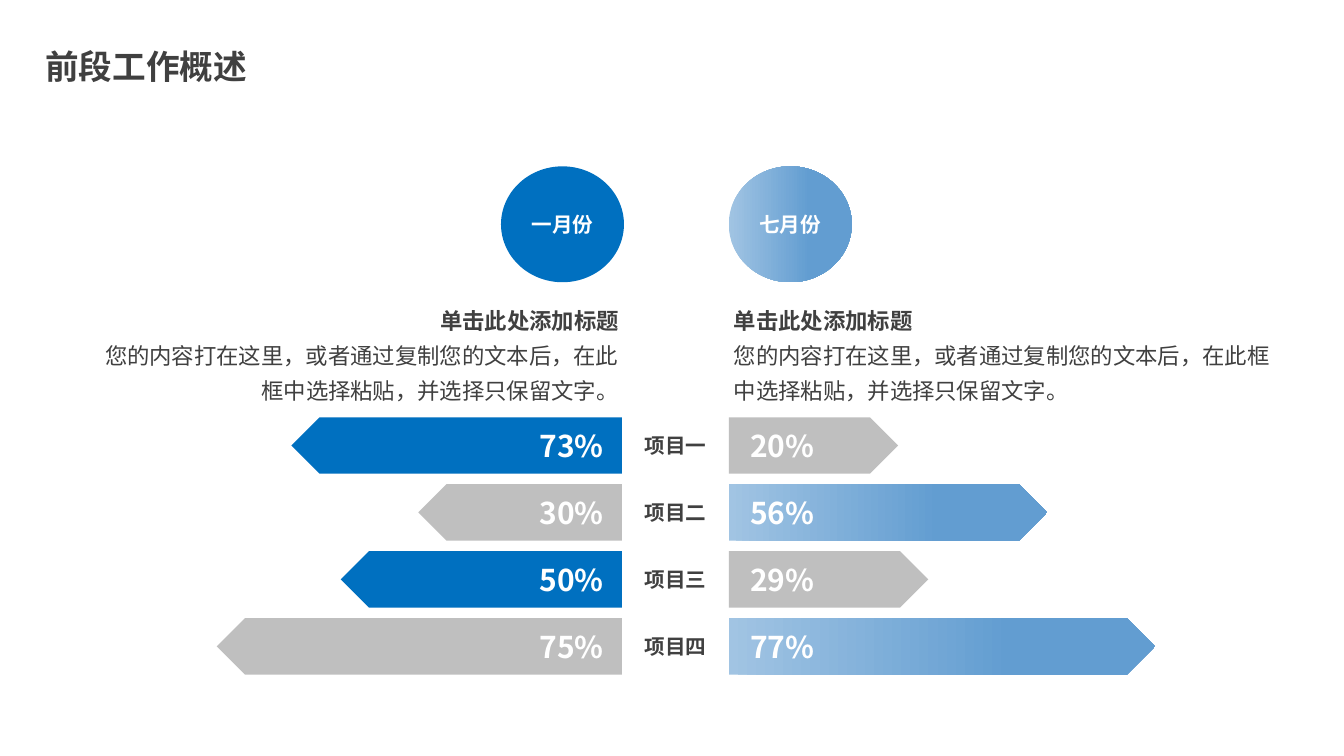
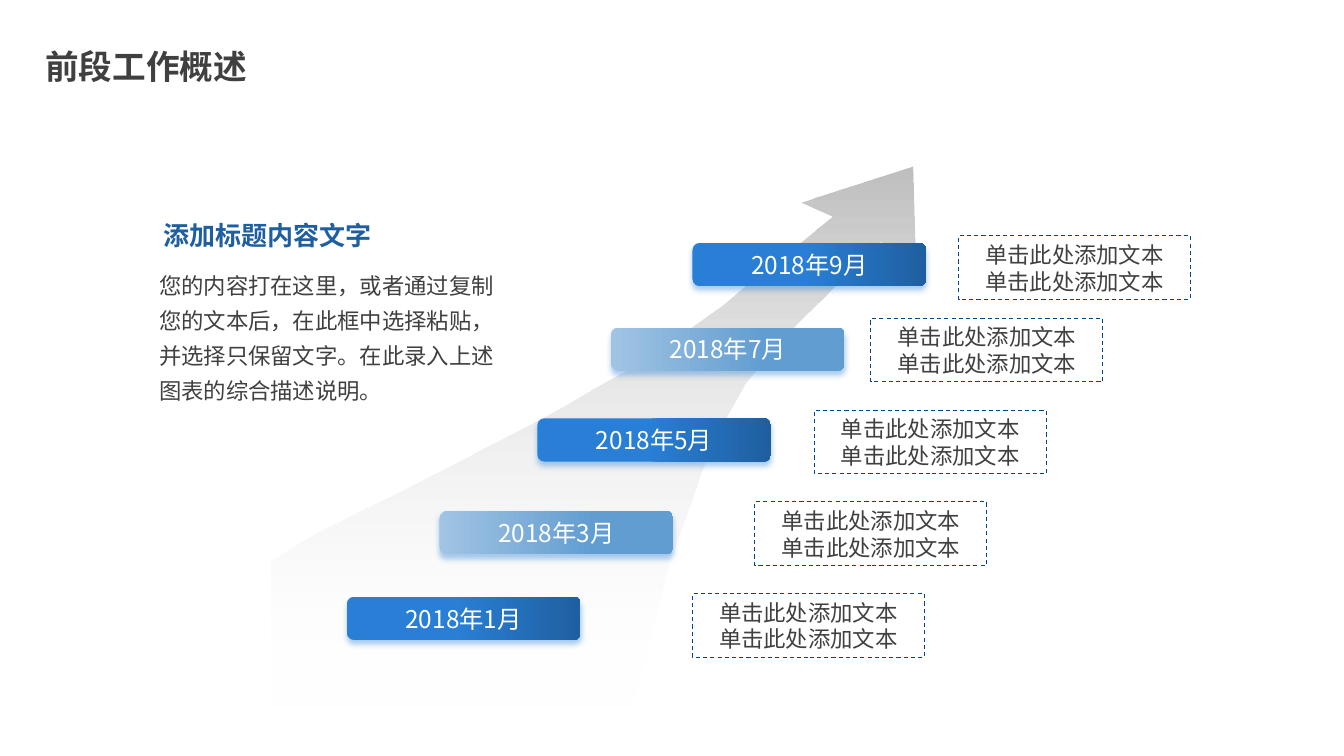
from dataclasses import dataclass

from lxml.etree import SubElement
from pptx import Presentation
from pptx.dml.color import RGBColor
from pptx.enum.dml import MSO_LINE
from pptx.enum.shapes import MSO_SHAPE
from pptx.enum.text import MSO_ANCHOR, MSO_AUTO_SIZE, PP_ALIGN
from pptx.oxml.ns import qn
from pptx.util import Pt


@dataclass(frozen=True)
class Theme:
    font: str = "Noto Sans CJK SC"
    ink: str = "404040"
    white: str = "FFFFFF"
    blue: str = "0070C0"
    grey: str = "BFBFBF"
    navy: str = "1F5FA0"
    dash: str = "01458E"
    glow: str = "297FD5"
    pale: tuple = ((0, "A1C4E3"), (0.66, "629DD1"))
    deep: tuple = ((0.47, "297FD5"), (1, "1F5FA0"))
    fade: tuple = ((0, "BFBFBF"), (1, "FFFFFF"))
    title: float = 24
    value: float = 21.4
    heading: float = 18.6
    tag: float = 17.4
    body: float = 16
    label: float = 14.7


T = Theme()
COLS, ROWS = 160, 90
UNIT = Pt(6)


def draw(s, outline, box, fill=None, angle=0):
    if isinstance(outline, list):
        pts = [(round(x * UNIT), round(y * UNIT)) for x, y in outline]
        builder = s.shapes.build_freeform(*pts[0])
        builder.add_line_segments(pts[1:], close=True)
        sp = builder.convert_to_shape()
    else:
        place = [round(v * UNIT) for v in box]
        if outline is None:
            return s.shapes.add_textbox(*place)
        sp = s.shapes.add_shape(outline, *place)
    sp.shadow.inherit = False
    sp.line.fill.background()
    if fill is None:
        sp.fill.background()
    elif isinstance(fill, str):
        sp.fill.solid()
        sp.fill.fore_color.rgb = RGBColor.from_string(fill)
    else:
        sp.fill.gradient()
        sp.fill.gradient_angle = angle
        for stop, (position, color) in zip(sp.fill.gradient_stops, fill):
            stop.position = position
            stop.color.rgb = RGBColor.from_string(color)
    return sp


def write(sp, texts, size, color, bold=False, align=PP_ALIGN.CENTER,
          spacing=None, wrap=False, anchor=MSO_ANCHOR.TOP):
    tf = sp.text_frame
    tf.word_wrap = wrap
    tf.vertical_anchor = anchor
    for i, text in enumerate(texts):
        p = tf.add_paragraph() if i else tf.paragraphs[0]
        p.alignment = align
        p.line_spacing = spacing
        r = p.add_run()
        r.text = text
        r.font.size = Pt(size)
        r.font.bold = bold and i == 0
        r.font.color.rgb = RGBColor.from_string(color)
        r.font.name = T.font
        SubElement(r.font._element, qn("a:ea"), typeface=T.font)
    return tf


prs = Presentation()
prs.slide_width = COLS * UNIT
prs.slide_height = ROWS * UNIT
layout = prs.slide_layouts[5]
title = layout.placeholders[0]
title.left, title.top, title.width, title.height = [
    round(v * UNIT) for v in (4.2, 4.92, 26.64, 6)]

compare, timeline = [prs.slides.add_slide(layout) for _ in range(2)]
for s in (compare, timeline):
    tf = write(s.shapes.title, ["前段工作概述"], T.title, T.ink, True, PP_ALIGN.LEFT)
    tf.auto_size = MSO_AUTO_SIZE.NONE

s = compare
BAR_TOP, BAR_STEP, BAR_H = 49.68, 7.97, 6.72
LEFT_EDGE, RIGHT_EDGE = 74.04, 86.76
intro = ["单击此处添加标题",
         "您的内容打在这里，或者通过复制您的文本后，在此框中选择粘贴，并选择只保留文字。"]
sides = [
    ("一月份", T.blue, 59.64, (10.68, 63.6), PP_ALIGN.RIGHT, 62.95,
     [("73%", 39.36), ("30%", 24.24), ("50%", 33.48), ("75%", 48.24)], 0),
    ("七月份", T.pale, RIGHT_EDGE, (RIGHT_EDGE, 65.04), PP_ALIGN.LEFT, 88,
     [("20%", 20.16), ("56%", 37.92), ("29%", 23.76), ("77%", 50.76)], 1),
]
for month, fill, circle_x, (text_x, text_w), align, value_x, bars, first in sides:
    sp = draw(s, MSO_SHAPE.OVAL, (circle_x, 19.8, 14.64, 13.8), fill)
    write(sp, [month], T.label, T.white, True, anchor=MSO_ANCHOR.MIDDLE)
    sp = draw(s, None, (text_x, 35.28, text_w, 12.84))
    tf = write(sp, intro, T.body, T.ink, True, align, 1.3, True)
    tf.margin_left = tf.margin_right = Pt(3.6)
    tf.margin_top = tf.margin_bottom = Pt(2)
    for i, (value, width) in enumerate(bars):
        y = BAR_TOP + i * BAR_STEP
        x = RIGHT_EDGE if first else LEFT_EDGE - width
        sp = draw(s, MSO_SHAPE.PENTAGON, (x, y, width, BAR_H),
                  fill if i % 2 == first else T.grey)
        if not first:
            sp._element.spPr.xfrm.set("flipH", "1")
        sp = draw(s, None, (value_x, y + 0.65, 10.2, 5.52))
        write(sp, [value], T.value, T.white, True)
for i, number in enumerate("一二三四"):
    sp = draw(s, None, (75.48, BAR_TOP + 1.3 + i * BAR_STEP, 9.84, 4.2))
    write(sp, ["项目" + number], T.label, T.ink, True)

s = timeline
arrow = [
    (32.28, 66.72), (37.56, 63.48), (43.08, 60.72), (48.96, 57.84), (56.4, 54),
    (65.4, 49.32), (71.4, 45.84), (75.36, 43.68), (80.88, 39.96), (85.68, 36.6),
    (90.12, 32.88), (93.72, 30.12), (99, 25.8), (95.28, 24.12), (108.6, 19.8),
    (108.96, 31.56), (104.76, 28.8), (99.48, 33.96), (93.12, 40.32),
    (88.68, 45.72), (86.52, 49.56), (84.48, 53.52), (83.16, 57.12),
    (81.96, 60.6), (79.56, 67.32), (77.88, 73.68), (76.68, 78.72),
    (75, 84.48), (32.28, 84.48),
]
sp = draw(s, arrow, None, T.fade, 270)
end = sp._element.spPr.findall(".//" + qn("a:srgbClr"))[-1]
SubElement(end, qn("a:alpha"), val="0")

steps = [
    ((41.28, 71.04), (82.44, 70.68)),
    ((52.32, 60.84), (89.88, 59.76)),
    ((63.96, 49.8), (96.96, 48.84)),
    ((72.72, 39), (103.68, 37.92)),
    ((82.44, 28.92), (114.12, 28.08)),
]
for i, (tag, note) in enumerate(steps):
    sp = draw(s, MSO_SHAPE.ROUNDED_RECTANGLE, (*tag, 27.84, 5.16),
              T.pale if i % 2 else T.deep)
    effects = sp._element.spPr.find(qn("a:effectLst"))
    shadow = SubElement(effects, qn("a:outerShdw"), blurRad=str(Pt(4)),
                        dist=str(Pt(3)), dir="5400000", algn="t", rotWithShape="0")
    color = SubElement(shadow, qn("a:srgbClr"), val=T.glow)
    SubElement(color, qn("a:alpha"), val="40000")
    write(sp, [f"2018年{2 * i + 1}月"], T.tag, T.white, wrap=True,
          anchor=MSO_ANCHOR.MIDDLE)

    sp = draw(s, MSO_SHAPE.RECTANGLE, (*note, 27.6, 7.56))
    sp.line.color.rgb = RGBColor.from_string(T.dash)
    sp.line.width = Pt(0.75)
    sp.line.dash_style = MSO_LINE.DASH
    write(sp, ["单击此处添加文本"] * 2, T.body, T.ink, wrap=True)

sp = draw(s, None, (17.76, 30.84, 44.52, 15.84))
write(sp, ["您的内容打在这里，或者通过复制您的文本后，在此框中选择粘贴，"
           "并选择只保留文字。在此录入上述图表的综合描述说明。"],
      T.body, T.ink, align=PP_ALIGN.LEFT, spacing=1.3, wrap=True)
sp = draw(s, None, (18.24, 24.12, 37.92, 7.68))
write(sp, ["添加标题内容文字"], T.heading, T.navy, True, PP_ALIGN.LEFT,
      wrap=True, anchor=MSO_ANCHOR.MIDDLE)

prs.save("out.pptx")
